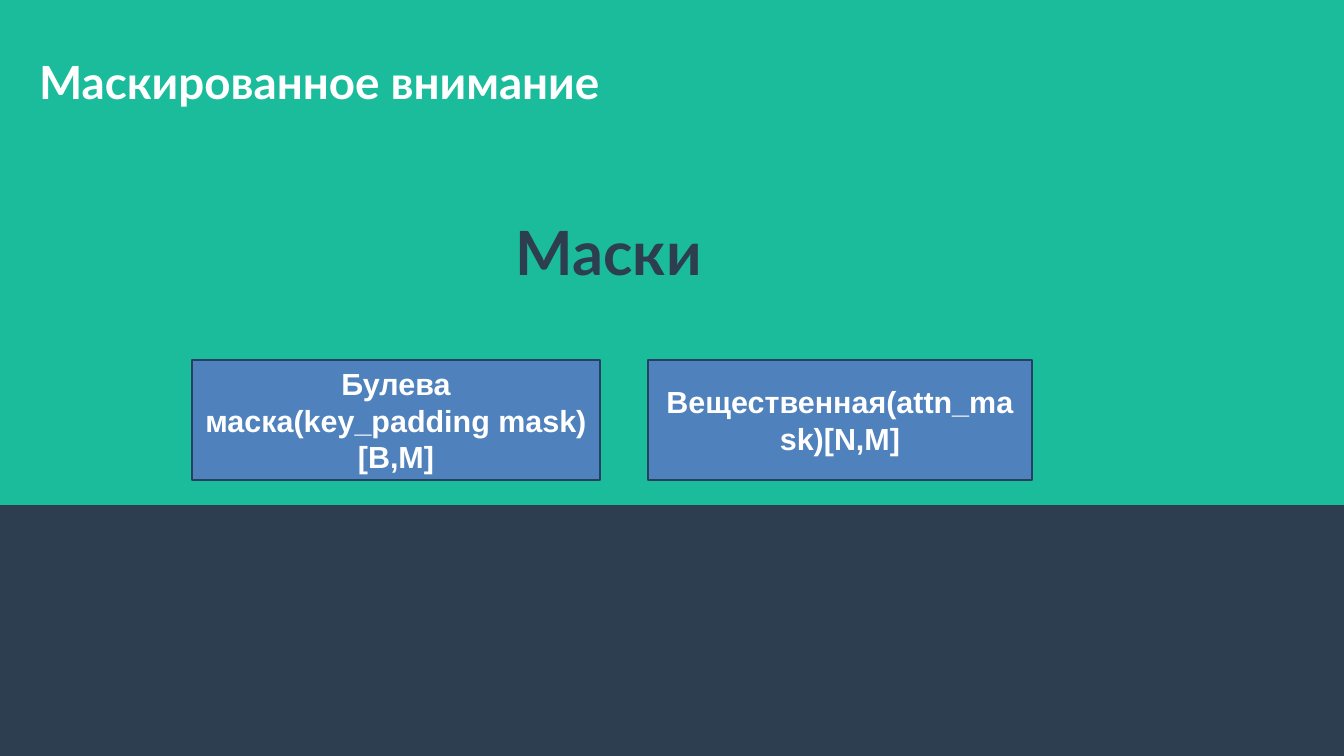
from pptx import Presentation
from pptx.dml.color import RGBColor
from pptx.enum.shapes import MSO_SHAPE
from pptx.enum.text import MSO_ANCHOR, MSO_AUTO_SIZE, PP_ALIGN
from pptx.util import Cm, Pt

RECTANGLE = MSO_SHAPE.RECTANGLE
TOP, MIDDLE = MSO_ANCHOR.TOP, MSO_ANCHOR.MIDDLE
LEFT, CENTER = PP_ALIGN.LEFT, PP_ALIGN.CENTER
NO_AUTOFIT = MSO_AUTO_SIZE.NONE

NAVY = RGBColor(0x2C, 0x3E, 0x50)
TEAL = RGBColor(0x1A, 0xBC, 0x9C)
BLUE = RGBColor(0x4F, 0x81, 0xBD)
DARK_BLUE = RGBColor(0x25, 0x40, 0x61)
WHITE = RGBColor(0xFF, 0xFF, 0xFF)

TITLE_ONLY = 5
WIDTH, HEIGHT = 28, 15.75  # centimetres, like all boxes below


def write(shape, text, font_name, size, color, alignment=LEFT, anchor=TOP):
    frame = shape.text_frame
    frame.text = text
    frame.word_wrap = True
    frame.auto_size = NO_AUTOFIT
    frame.vertical_anchor = anchor
    paragraph = frame.paragraphs[0]
    paragraph.alignment = alignment
    font = paragraph.font
    font.name, font.size, font.bold = font_name, Pt(size), True
    font.color.rgb = color


def add_rectangle(slide, box, fill, line, line_width):
    shape = slide.shapes.add_shape(RECTANGLE, *map(Cm, box))
    shape.shadow.inherit = False
    shape.fill.solid()
    shape.fill.fore_color.rgb = fill
    shape.line.color.rgb = line
    shape.line.width = Pt(line_width)
    return shape


def add_background(slide, box):
    """Navy slide with a teal band, which lies behind the title."""
    slide.background.fill.solid()
    slide.background.fill.fore_color.rgb = NAVY
    band = add_rectangle(slide, box, TEAL, TEAL, 0.85)
    slide.shapes[0].element.addprevious(band.element)


def place_title(slide, box, text):
    title = slide.shapes.title
    title.left, title.top, title.width, title.height = map(Cm, box)
    write(title, text, "Lato", 27, WHITE)


def add_heading(slide, box, text):
    heading = slide.shapes.add_textbox(*map(Cm, box))
    write(heading, text, "Lato", 36, NAVY)


def add_masks(slide, box, masks, gap):
    """Row of mask types, each given as its text and width."""
    left, top, height = box
    for text, width in masks:
        mask = add_rectangle(slide, (left, top, width, height), BLUE, DARK_BLUE, 0)
        write(mask, text, "Arial", 18, WHITE, CENTER, MIDDLE)
        left += width + gap


def main():
    presentation = Presentation()
    presentation.slide_width, presentation.slide_height = Cm(WIDTH), Cm(HEIGHT)
    slide = presentation.slides.add_slide(presentation.slide_layouts[TITLE_ONLY])

    add_background(slide, (0, 0, WIDTH, HEIGHT * 2 / 3))
    place_title(slide, (0.56, 1, 15.93, 1.98), "Маскированное внимание")
    add_heading(slide, (10.5, 4.35, 4.5, 2.67), "Маски")
    masks = [
        ("Булева маска(key_padding mask)[B,M]", 8.5),
        ("Вещественная(attn_mask)[N,M]", 8),
    ]
    add_masks(slide, (4, 7.5, 2.5), masks, gap=1)

    presentation.save("out.pptx")


if __name__ == "__main__":
    main()
